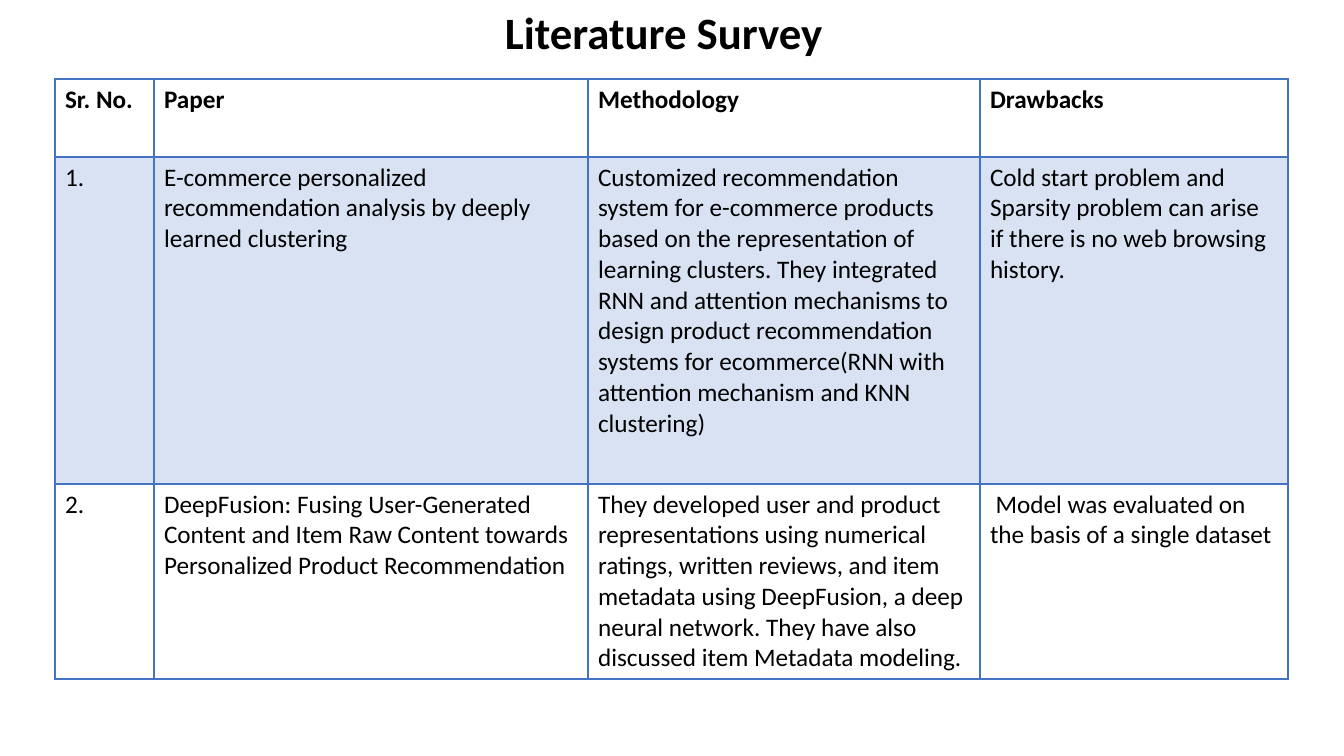
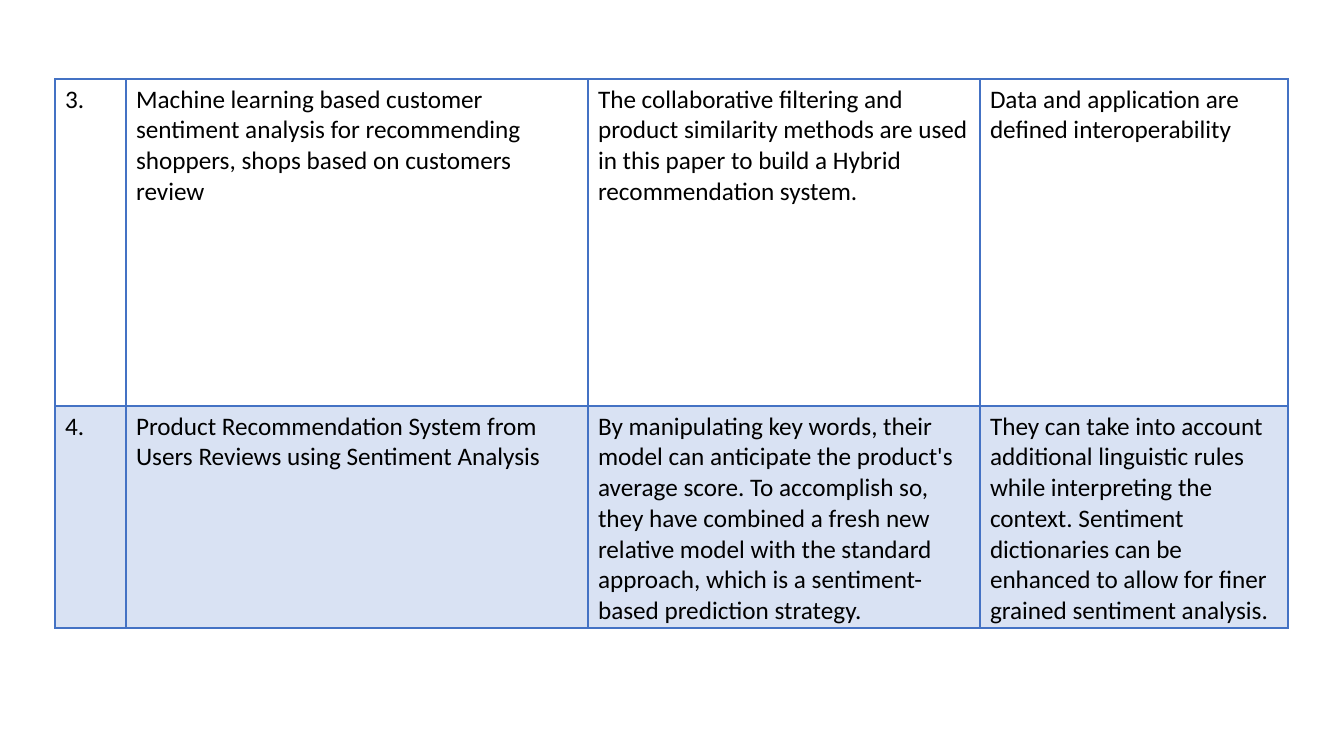
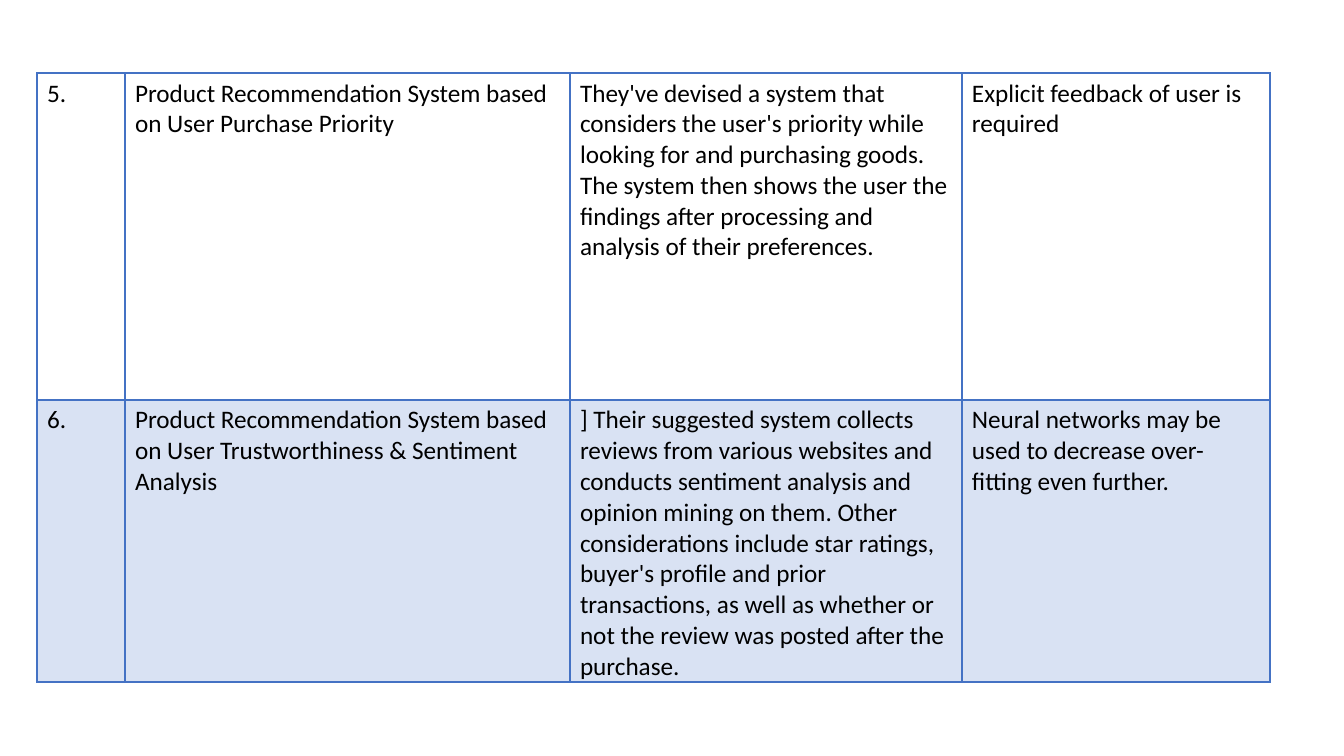
from lxml import etree
from pptx import Presentation
from pptx.dml.color import RGBColor
from pptx.oxml.ns import qn
from pptx.util import Emu, Pt

PX = 12192000 / 1344
FONT = "Calibri"
BLACK, BLUE = "000000", "4472C4"
TINT = 20  # opacity of shaded rows, percent
METHOD_W, DRAWBACK_W = 392, 308


def px(n):
    return Emu(round(n * PX))


def style_run(r, size, bold):
    r.font.name = FONT
    r.font.size = Pt(size)
    r.font.bold = bold
    r.font.color.rgb = RGBColor.from_string(BLACK)


prs = Presentation()
prs.slide_width, prs.slide_height = px(1344), px(756)

HEADER = ("Sr. No.", "Paper", "Methodology", "Drawbacks")

# One entry per slide; "shaded" and "ruled" are row indexes
surveys = [
    dict(title="Literature Survey", left=55, top=79, widths=(99, 434),
         heights=(78, 327, 195), header=True, shaded=1, ruled=0, rows=[
        HEADER,
        ("1.",
         "E-commerce personalized recommendation analysis by deeply learned clustering",
         "Customized recommendation system for e-commerce products based on the "
         "representation of learning clusters. They integrated RNN and attention "
         "mechanisms to design product recommendation systems for ecommerce(RNN with "
         "attention mechanism and KNN clustering)",
         "Cold start problem and Sparsity problem can arise if there is no web "
         "browsing history."),
        ("2.",
         "DeepFusion: Fusing User-Generated Content and Item Raw Content towards "
         "Personalized Product Recommendation",
         "They developed user and product representations using numerical ratings, "
         "written reviews, and item metadata using DeepFusion, a deep neural network. "
         "They have also discussed item Metadata modeling.",
         " Model was evaluated on the basis of a single dataset"),
    ]),
    dict(title=None, left=55, top=79, widths=(71, 462),
         heights=(327, 222), header=False, shaded=1, ruled=0, rows=[
        ("3.",
         "Machine learning based customer sentiment analysis for recommending "
         "shoppers, shops based on customers review",
         "The collaborative filtering and product similarity methods are used in this "
         "paper to build a Hybrid recommendation system.",
         "Data and application are defined interoperability"),
        ("4.",
         "Product Recommendation System from Users Reviews using Sentiment Analysis",
         "By manipulating key words, their model can anticipate the product's average "
         "score. To accomplish so, they have combined a fresh new relative model with "
         "the standard approach, which is a sentiment-based prediction strategy.",
         "They can take into account additional linguistic rules while interpreting "
         "the context. Sentiment dictionaries can be enhanced to allow for finer "
         "grained sentiment analysis."),
    ]),
    dict(title=None, left=37, top=73, widths=(88, 445),
         heights=(327, 282), header=False, shaded=1, ruled=0, rows=[
        ("5.",
         "Product Recommendation System based on User Purchase Priority",
         "They've devised a system that considers the user's priority while looking "
         "for and purchasing goods. The system then shows the user the findings after "
         "processing and analysis of their preferences.",
         "Explicit feedback of user is required"),
        ("6.",
         "Product Recommendation System based on User Trustworthiness & Sentiment "
         "Analysis",
         "] Their suggested system collects reviews from various websites and conducts "
         "sentiment analysis and opinion mining on them. Other considerations include "
         "star ratings, buyer's profile and prior transactions, as well as whether or "
         "not the review was posted after the purchase.",
         "Neural networks may be used to decrease over-fitting even further."),
    ]),
]

for survey in surveys:
    slide = prs.slides.add_slide(prs.slide_layouts[6])

    # Table grid
    rows, heights = survey["rows"], survey["heights"]
    widths = (*survey["widths"], METHOD_W, DRAWBACK_W)
    table = slide.shapes.add_table(
        len(rows), len(widths), px(survey["left"]), px(survey["top"]),
        px(sum(widths)), px(sum(heights))).table
    table.first_row = survey["header"]
    table.horz_banding = False
    for col, width in zip(table.columns, widths):
        col.width = px(width)
    for row, height in zip(table.rows, heights):
        row.height = px(height)

    for i, texts in enumerate(rows):
        for j, text in enumerate(texts):
            # Cell text
            cell = table.cell(i, j)
            cell.margin_bottom = 0
            p = cell.text_frame.paragraphs[0]
            p.text = text
            style_run(p.runs[0], 18, survey["header"] and i == 0)

            # Borders, heavier around the rule under the first row
            tcPr = cell._tc.get_or_add_tcPr()
            heavy = {"lnB": i, "lnT": i - 1}
            for side in ("lnL", "lnR", "lnT", "lnB"):
                weight = 2 if heavy.get(side) == survey["ruled"] else 1
                ln = etree.SubElement(tcPr, qn("a:" + side), w=str(Pt(weight)))
                fill = etree.SubElement(ln, qn("a:solidFill"))
                etree.SubElement(fill, qn("a:srgbClr"), val=BLUE)

            # Fill
            if i == survey["shaded"]:
                cell.fill.solid()
                cell.fill.fore_color.rgb = RGBColor.from_string(BLUE)
                color = tcPr.find(qn("a:solidFill")).find(qn("a:srgbClr"))
                etree.SubElement(color, qn("a:alpha"), val=str(TINT * 1000))
            else:
                cell.fill.background()

    # Title
    if survey["title"]:
        tf = slide.shapes.add_textbox(px(495), px(0), px(672), px(64)).text_frame
        tf.word_wrap = True
        tf.text = survey["title"]
        style_run(tf.paragraphs[0].runs[0], 32, True)

prs.save("out.pptx")
